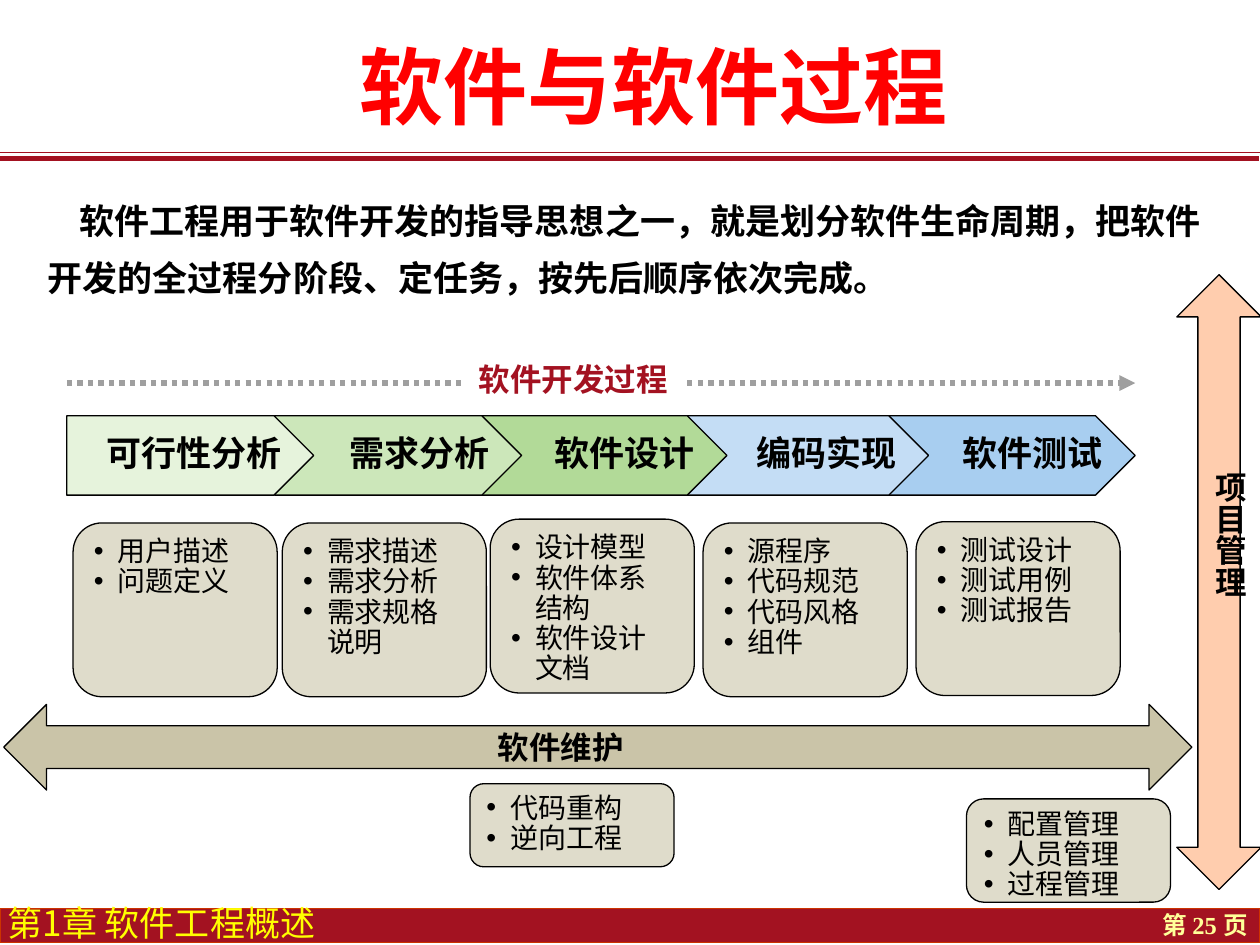
"""Build a slide on the software development process and its life-cycle stages."""
from lxml import etree
from pptx import Presentation
from pptx.dml.color import RGBColor
from pptx.enum.dml import MSO_LINE
from pptx.enum.shapes import MSO_CONNECTOR, MSO_SHAPE
from pptx.enum.text import MSO_ANCHOR, PP_ALIGN
from pptx.oxml.ns import qn
from pptx.util import Inches, Pt

RECT, ROUNDED, STAGE = MSO_SHAPE.RECTANGLE, MSO_SHAPE.ROUNDED_RECTANGLE, MSO_SHAPE.PENTAGON
WIDE_ARROW, TALL_ARROW = MSO_SHAPE.LEFT_RIGHT_ARROW, MSO_SHAPE.UP_DOWN_ARROW
STRAIGHT, DOTTED = MSO_CONNECTOR.STRAIGHT, MSO_LINE.ROUND_DOT
TOP, MIDDLE, BOTTOM = MSO_ANCHOR.TOP, MSO_ANCHOR.MIDDLE, MSO_ANCHOR.BOTTOM
LEFT, CENTER, RIGHT = PP_ALIGN.LEFT, PP_ALIGN.CENTER, PP_ALIGN.RIGHT

SANS, CJK, SERIF = "Arial", "Noto Sans CJK SC", "Times New Roman"
BLACK = RGBColor(0x00, 0x00, 0x00)
WHITE = RGBColor(0xFF, 0xFF, 0xFF)
RED = RGBColor(0xFF, 0x00, 0x00)
CRIMSON = RGBColor(0xA3, 0x12, 0x21)
ORANGE_RED = RGBColor(0xCC, 0x33, 0x00)
YELLOW = RGBColor(0xFF, 0xFF, 0x00)
PALE_YELLOW = RGBColor(0xFF, 0xFF, 0x99)
GREY = RGBColor(0x9F, 0x9F, 0x9F)
STONE = RGBColor(0xDF, 0xDC, 0xCB)
KHAKI = RGBColor(0xCA, 0xC4, 0xA8)
PEACH = RGBColor(0xFF, 0xCD, 0xAE)
STAGE_GREENS = [RGBColor(0xE6, 0xF3, 0xDC), RGBColor(0xCC, 0xE7, 0xBA), RGBColor(0xB2, 0xDA, 0x98)]
STAGE_BLUES = [RGBColor(0xC4, 0xDD, 0xF5), RGBColor(0xA8, 0xCE, 0xF0)]

STAGES = [
    ("可行性分析", 0.53, 0.58, 4.15, ["用户描述", "问题定义"]),
    ("需求分析", 2.18, 2.24, 4.15, ["需求描述", "需求分析", "需求规格说明"]),
    ("软件设计", 3.81, 3.89, 4.12, ["设计模型", "软件体系结构", "软件设计文档"]),
    ("编码实现", 5.41, 5.58, 4.15, ["源程序", "代码规范", "代码风格", "组件"]),
    ("软件测试", 7.05, 7.27, 4.14, ["测试设计", "测试用例", "测试报告"]),
]


def write_text(frame, lines, size=18, font=CJK, color=BLACK, bold=False, align=LEFT, anchor=TOP,
               spacing=1.0, indent=0, bullet=False, inset=None, wrap=True, vertical=False):
    """Fill a text frame with one paragraph per line."""
    frame.word_wrap = wrap
    frame.vertical_anchor = anchor
    if inset is not None:
        frame.margin_left = frame.margin_right = Inches(inset)
        frame.margin_top = frame.margin_bottom = Inches(inset)
    if vertical:
        frame._txBody.bodyPr.set("vert", "eaVert")
    for index, line in enumerate(lines):
        paragraph = frame.add_paragraph() if index else frame.paragraphs[0]
        paragraph.alignment = align
        paragraph.line_spacing = spacing
        properties = paragraph._p.get_or_add_pPr()
        properties.set("indent", str(Inches(indent)))
        if bullet:
            properties.set("marL", str(Inches(-indent)))
            etree.SubElement(properties, qn("a:buFont"), typeface=SANS)
            etree.SubElement(properties, qn("a:buChar"), char="•")
        run = paragraph.add_run()
        run.text = line
        run.font.size = Pt(size)
        run.font.name = font
        run.font.bold = bold
        run.font.color.rgb = color
        etree.SubElement(run._r.get_or_add_rPr(), qn("a:ea"), typeface=CJK)


class SlideBuilder:
    """Hold the shared outline style and the slide being drawn."""

    def __init__(self, slide, outline=BLACK, outline_width=0.75):
        self.shapes = slide.shapes
        self.outline = outline
        self.outline_width = outline_width

    def text(self, box, line, **style):
        """Add a text box."""
        label = self.shapes.add_textbox(*map(Inches, box))
        write_text(label.text_frame, [line], **style)

    def shape(self, kind, box, fill, outlined=True, outline=None, lines=(), **style):
        """Add a filled preset shape, with text if given."""
        figure = self.shapes.add_shape(kind, *map(Inches, box))
        figure.shadow.inherit = False
        figure.fill.solid()
        figure.fill.fore_color.rgb = fill
        if outlined:
            figure.line.color.rgb = outline or self.outline
            figure.line.width = Pt(self.outline_width)
        else:
            figure.line.fill.background()
        write_text(figure.text_frame, lines, **style)

    def bullets(self, box, lines):
        """Add a rounded card with a bulleted list."""
        self.shape(ROUNDED, box, STONE, lines=lines, size=16, font=SANS,
                   spacing=0.9, indent=-0.19, bullet=True)

    def line(self, left, right, y, color, width, arrow=False):
        """Add a horizontal rule, or a dotted arrow."""
        rule = self.shapes.add_connector(STRAIGHT, Inches(left), Inches(y), Inches(right), Inches(y))
        rule.line.color.rgb = color
        rule.line.width = Pt(width)
        if arrow:
            rule.line.dash_style = DOTTED
            etree.SubElement(rule.line._get_or_add_ln(), qn("a:tailEnd"), type="triangle")
        etree.SubElement(rule._element.spPr, qn("a:effectLst"))


def main():
    """Draw the slide and save it."""
    deck = Presentation()
    deck.slide_width, deck.slide_height = Inches(10), Inches(7.5)
    builder = SlideBuilder(deck.slides.add_slide(deck.slide_layouts[6]))

    builder.line(0, 10, 1.21, CRIMSON, 0.75)
    builder.line(-0.01, 9.99, 1.26, CRIMSON, 3)
    builder.shape(RECT, (0, 7.21, 10, 0.27), CRIMSON, outline=ORANGE_RED)
    builder.text((8.43, 7.17, 1.57, 0.33), "第 25 页", size=14, font=SERIF,
                 color=PALE_YELLOW, bold=True, align=RIGHT)
    builder.text((0.06, 7.24, 3, 0.25), "第1章 软件工程概述", size=20, color=YELLOW,
                 anchor=BOTTOM, spacing=0.85, inset=0)

    builder.text((1.08, 0.33, 8.21, 0.75), "软件与软件过程", size=48, font=SANS, color=RED,
                 bold=True, align=CENTER, anchor=BOTTOM, spacing=0.85, inset=0)
    builder.text((0.28, 1.34, 9.45, 1.15),
                 "软件工程用于软件开发的指导思想之一，就是划分软件生命周期，"
                 "把软件开发的全过程分阶段、定任务，按先后顺序依次完成。",
                 size=20, bold=True, anchor=MIDDLE, spacing=1.35, indent=0.25)

    for (name, left, *_), fill in reversed(list(zip(STAGES, STAGE_GREENS + STAGE_BLUES))):
        builder.shape(STAGE, (left, 3.3, 1.96, 0.63), fill, lines=[name], size=20, font=SANS,
                      bold=True, align=RIGHT, anchor=MIDDLE, spacing=0.9)
    builder.line(0.53, 9.01, 3.04, GREY, 3, arrow=True)
    builder.shape(RECT, (3.7, 2.81, 1.72, 0.4), WHITE, outlined=False, lines=["软件开发过程"],
                  color=CRIMSON, bold=True, wrap=False)
    for _, _, left, top, outputs in STAGES:
        builder.bullets((left, top, 1.62, 1.38), outputs)

    builder.shape(WIDE_ARROW, (0.03, 5.59, 9.43, 0.68), KHAKI)
    builder.text((3.85, 5.73, 1.28, 0.4), "软件维护", bold=True)
    builder.bullets((3.73, 6.22, 1.62, 0.66), ["代码重构", "逆向工程"])

    builder.shape(TALL_ARROW, (9.34, 2.18, 0.67, 4.88), PEACH)
    builder.text((9.46, 3.65, 0.5, 1.26), "项目管理", bold=True, vertical=True)
    builder.bullets((7.67, 6.34, 1.62, 0.82), ["配置管理", "人员管理", "过程管理"])

    deck.save("out.pptx")


if __name__ == "__main__":
    main()
